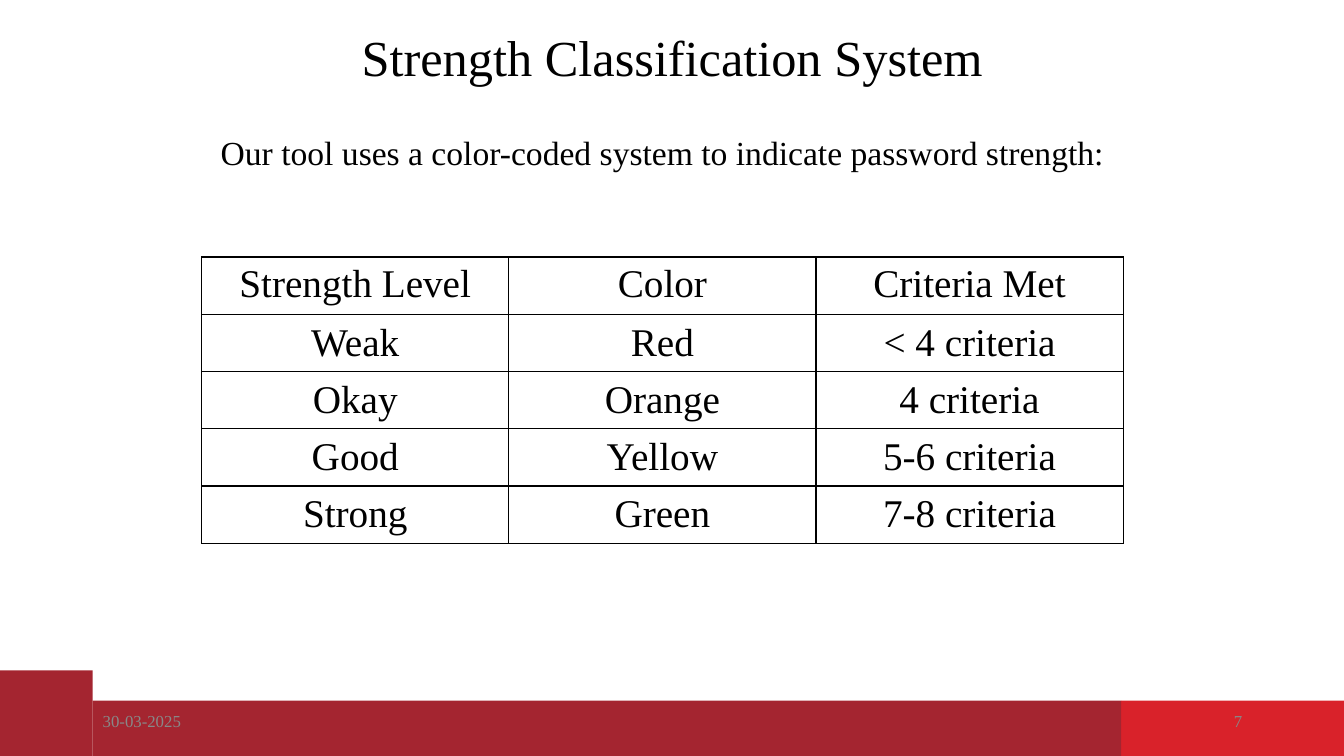
"""Build the password strength classification slide."""
from lxml.etree import SubElement
from pptx import Presentation
from pptx.dml.color import RGBColor
from pptx.enum.shapes import MSO_SHAPE
from pptx.enum.text import MSO_ANCHOR, PP_ALIGN
from pptx.oxml.ns import qn
from pptx.util import Inches, Pt


def color(value):
    return RGBColor.from_string(value)


def write(frame, text, size, alignment, anchor=MSO_ANCHOR.MIDDLE, text_color="000000"):
    frame.word_wrap = True
    frame.vertical_anchor = anchor
    paragraph = frame.paragraphs[0]
    paragraph.text = text
    paragraph.alignment = alignment
    font = paragraph.runs[0].font
    for name, value in {"name": "Times New Roman", "size": Pt(size), "bold": False}.items():
        setattr(font, name, value)
    font.color.rgb = color(text_color)
    return paragraph


presentation = Presentation()
presentation.slide_width = Inches(13.33)
presentation.slide_height = Inches(7.5)
slide = presentation.slides.add_slide(presentation.slide_layouts[5])

bars = [
    (0, 6.65, 0.92, "A42530"),
    (11.12, 6.95, 2.21, "D9222A"),
    (0.92, 6.95, 10.2, "A42530"),
]
for left, top, width, fill in bars:
    bar = slide.shapes.add_shape(
        MSO_SHAPE.RECTANGLE, Inches(left), Inches(top), Inches(width), Inches(7.5 - top)
    )
    bar.shadow.inherit = False
    bar.fill.solid()
    bar.fill.fore_color.rgb = color(fill)
    bar.line.fill.background()

title = slide.shapes.title
title_place = {"left": 0.38, "top": 0.23, "width": 12.58, "height": 0.74}
for name, value in title_place.items():
    setattr(title, name, Inches(value))
heading = write(title.text_frame, "Strength Classification System", 36, PP_ALIGN.CENTER)
heading.line_spacing = 0.9

labels = [
    ("30-03-2025", 0.92, 6.95, 3, 0.4, 12, PP_ALIGN.LEFT, MSO_ANCHOR.MIDDLE, "888888"),
    ("7", 9.42, 6.95, 3, 0.4, 12, PP_ALIGN.RIGHT, MSO_ANCHOR.MIDDLE, "888888"),
    ("Our tool uses a color-coded system to indicate password strength:",
     2.09, 1.26, 10, 0.5, 24, PP_ALIGN.LEFT, MSO_ANCHOR.TOP, "000000"),
]
for text, left, top, width, height, *style in labels:
    box = slide.shapes.add_textbox(Inches(left), Inches(top), Inches(width), Inches(height))
    write(box.text_frame, text, *style)

levels = [
    ("Strength Level", "Color", "Criteria Met"),
    ("Weak", "Red", "< 4 criteria"),
    ("Okay", "Orange", "4 criteria"),
    ("Good", "Yellow", "5-6 criteria"),
    ("Strong", "Green", "7-8 criteria"),
]
table = slide.shapes.add_table(
    len(levels), 3, Inches(2), Inches(2.55), Inches(9.14), Inches(2.84)
).table
table.first_row = False
table.horz_banding = False
for row_index, level in enumerate(levels):
    for column_index, text in enumerate(level):
        cell = table.cell(row_index, column_index)
        write(cell.text_frame, text, 28, PP_ALIGN.CENTER)
        cell.vertical_anchor = MSO_ANCHOR.MIDDLE if row_index else MSO_ANCHOR.TOP
        properties = cell._tc.get_or_add_tcPr()
        for side in ("a:lnL", "a:lnR", "a:lnT", "a:lnB"):
            border = SubElement(properties, qn(side), w=str(Pt(1)))
            border_fill = SubElement(border, qn("a:solidFill"))
            SubElement(border_fill, qn("a:srgbClr"), val="000000")
        cell.fill.background()

presentation.save("out.pptx")
